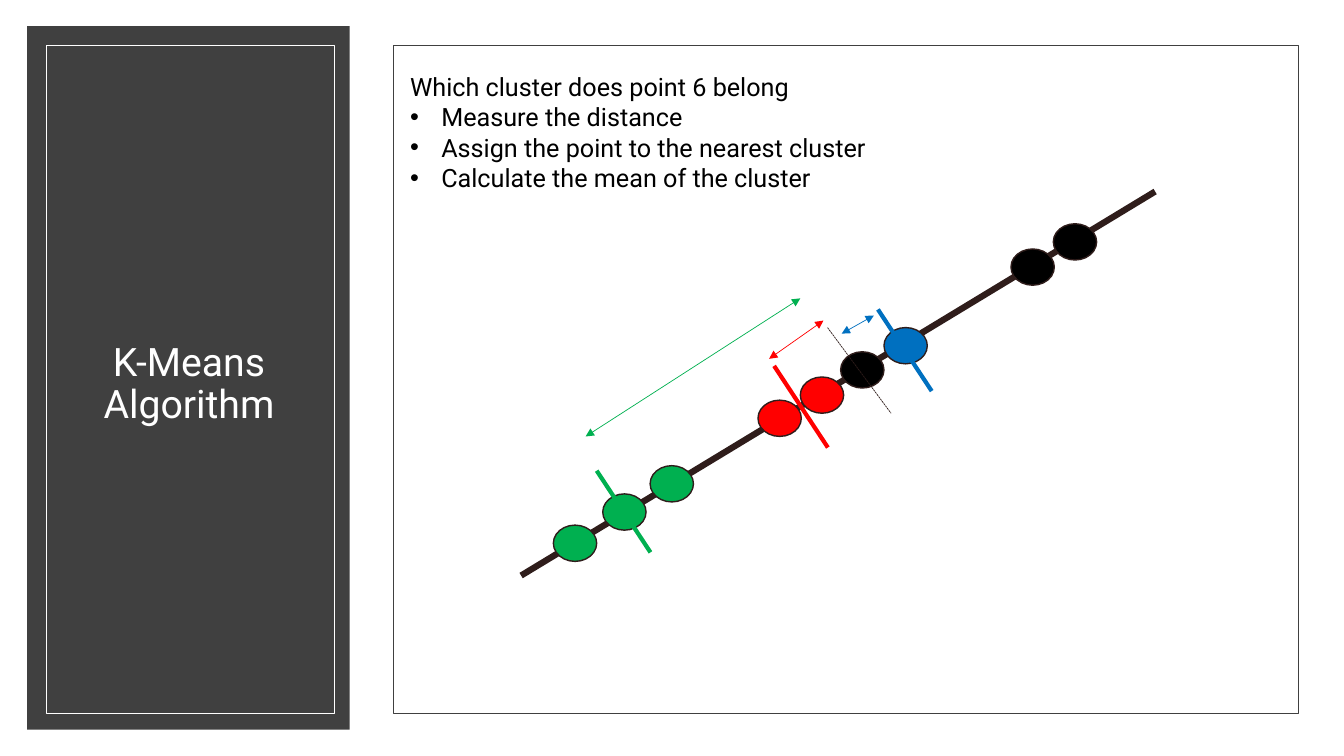
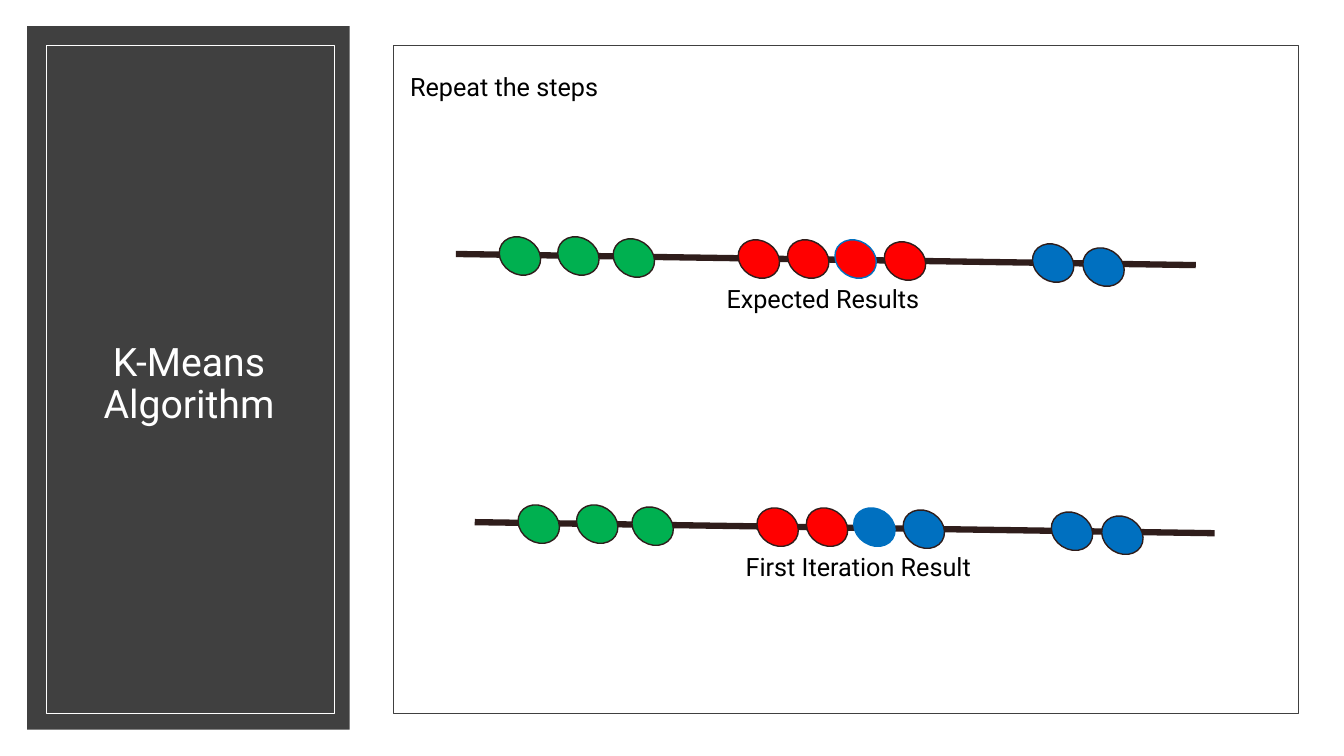
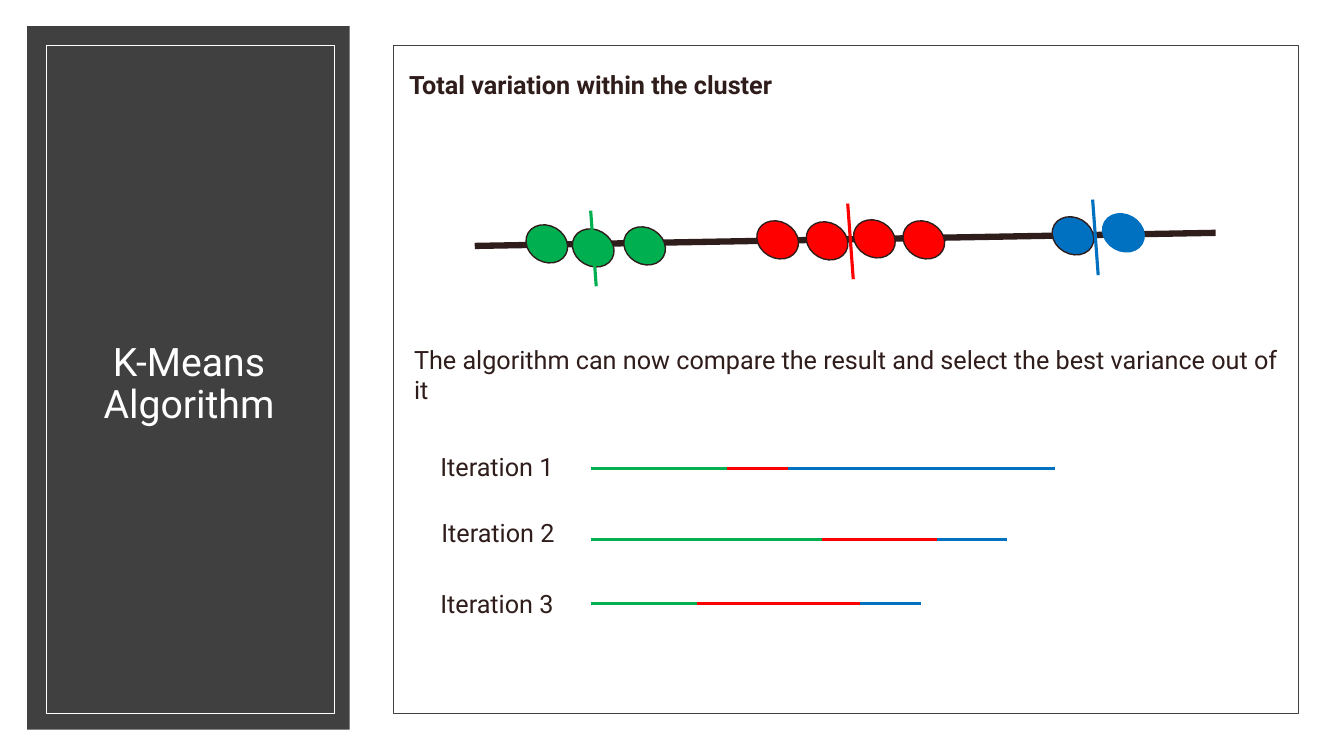
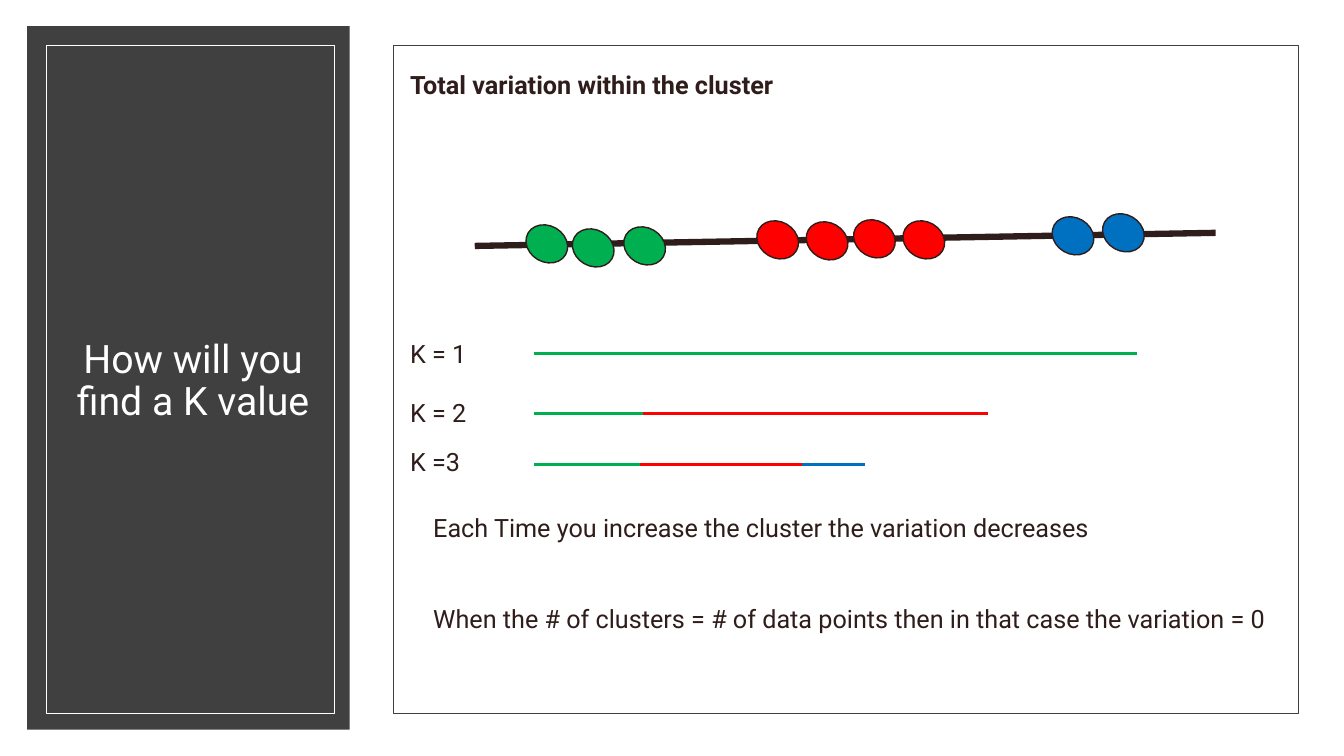
"""Builds four slides on the K-Means algorithm, laid out on a grid of 80 columns by 45 rows."""
from lxml.etree import SubElement as Sub
from pptx import Presentation
from pptx.dml.color import RGBColor as Rgb
from pptx.enum.dml import MSO_LINE as Dash
from pptx.enum.shapes import MSO_CONNECTOR as Link, MSO_SHAPE as Form
from pptx.enum.text import MSO_ANCHOR as Anchor, PP_ALIGN as Align
from pptx.oxml.ns import qn
from pptx.util import Emu, Inches, Pt

HUES = {"g": "00B050", "r": "FF0000", "b": "0070C0", "k": "000000",
        "ink": "2F1D1B", "band": "404040", "white": "FFFFFF"}
FONT = "Roboto"
BEAD = (2.58, 2.16)

deck = Presentation()
deck.slide_width, deck.slide_height = Inches(13.3333), Inches(7.5)
CELL = deck.slide_height / 45


def write(page, text, x, y, wide, high=2.4, size=18, hue="ink", bold=False, wrap=True,
          align=Align.LEFT, anchor=Anchor.TOP, lead=None, gap=0, bullet=False):
    box = page.shapes.add_textbox(*[Emu(round(n * CELL)) for n in (x, y, wide, high)])
    frame = box.text_frame
    frame.word_wrap, frame.vertical_anchor = wrap, anchor
    for at, words in enumerate(text.split("\n")):
        para = frame.paragraphs[0] if at == 0 else frame.add_paragraph()
        if bullet and at:
            props = para._p.get_or_add_pPr()
            props.set("marL", str(Inches(0.31)))
            props.set("indent", str(-Inches(0.31)))
            Sub(props, qn("a:buFont")).set("typeface", "Arial")
            Sub(props, qn("a:buChar")).set("char", "•")
        para.alignment = align
        if lead:
            para.line_spacing = lead
        if gap and at:
            para.space_before = Pt(gap)
        run = para.add_run()
        run.text = words
        run.font.name, run.font.size, run.font.bold = FONT, Pt(size), bold
        run.font.color.rgb = Rgb.from_string(HUES[hue])


def draw(page, form, at, fill=None, line=None, width=1, turn=0, dash=None, heads=False):
    spots = [Emu(round(n * CELL)) for n in at]
    if form is Link.STRAIGHT:
        item = page.shapes.add_connector(form, *spots)
    else:
        item = page.shapes.add_shape(form, *spots)
        item.shadow.inherit = False
        item.rotation = turn
        if fill:
            item.fill.solid()
            item.fill.fore_color.rgb = Rgb.from_string(HUES[fill])
        else:
            item.fill.background()
    if line:
        item.line.color.rgb = Rgb.from_string(HUES[line])
        item.line.width = Pt(width)
    else:
        item.line.fill.background()
    if dash:
        item.line.dash_style = dash
    if heads:
        for end in ("a:headEnd", "a:tailEnd"):
            Sub(item.line._get_or_add_ln(), qn(end)).set("type", "triangle")
    if form is Link.STRAIGHT:
        Sub(item._element.spPr, qn("a:effectLst"))


pages = []
for title, x, y in [("K-Means Algorithm", 3.66, 4.02)] * 3 + [("How will you find a K value", 3.9, 3.84)]:
    page = deck.slides.add_slide(deck.slide_layouts[6])
    page.background.fill.solid()
    page.background.fill.fore_color.rgb = Rgb.from_string(HUES["k"])
    draw(page, Form.RECTANGLE, (0, 0, 80, 45), fill="white")
    draw(page, Form.RECTANGLE, (1.62, 1.56, 19.2, 41.88), fill="band")
    draw(page, Form.RECTANGLE, (2.76, 2.7, 17.16, 39.78), line="white", width=0.5)
    draw(page, Form.RECTANGLE, (23.4, 2.7, 53.88, 39.78), line="band", width=0.5)
    write(page, title, x, y, 15.18, 37.8, size=28, hue="white",
          align=Align.CENTER, anchor=Anchor.MIDDLE, lead=0.9)
    pages.append(page)
first, second, third, fourth = pages

steep = [(3.21, -1.92), (6.15, -3.78), (8.97, -5.46), (15.39, -9.36), (17.91, -10.74),
         (20.31, -12.24), (22.89, -13.68), (30.45, -18.36), (32.97, -19.86), (37.74, -22.86)]
down = [(3.81, 0.12), (7.29, 0.12), (10.59, 0.24), (18.03, 0.3), (20.97, 0.3),
        (23.79, 0.3), (26.73, 0.42), (35.55, 0.54), (38.55, 0.78), (44.04, 0.66)]
up = [(4.29, -0.12), (7.05, 0.12), (10.11, 0), (18.03, -0.36), (20.97, -0.3),
      (23.79, -0.42), (26.73, -0.36), (35.61, -0.6), (38.61, -0.78), (44.1, -0.78)]
rails = [(first, 31.02, 34.26, steep, "gggrrkbkk", None, 0),
         (second, 28.26, 31.08, down, "gggrrbbbb", 5, 32.8),
         (second, 27.14, 15.12, down, "gggrrrrbb", 5, 32.8),
         (third, 28.26, 14.64, up, "gggrrrrbb", 8, 30.1),
         (fourth, 28.26, 14.64, up, "gggrrrrbb", None, 30.1)]
for page, x, y, (*spots, end), fills, odd, turn in rails:
    draw(page, Link.STRAIGHT, (x, y, x + end[0], y + end[1]), line="ink", width=4.5)
    for at, ((dx, dy), fill) in enumerate(zip(spots, fills)):
        draw(page, Form.OVAL, (x + dx - BEAD[0] / 2, y + dy - BEAD[1] / 2, *BEAD),
             fill=fill, line="b" if at == odd else "ink", turn=turn)

cuts = [(first, 3.2, 4.86, 3, [("g", 35.52, 28.02), ("r", 46.08, 21.78), ("b", 52.26, 18.42)]),
        (third, 0.33, 4.5, 2.25, [("g", 35.16, 12.54), ("r", 50.46, 12.12), ("b", 65.04, 11.88)])]
for page, dx, dy, width, marks in cuts:
    for hue, x, y in marks:
        draw(page, Link.STRAIGHT, (x, y, x + dx, y + dy), line=hue, width=width)

draw(first, Link.STRAIGHT, (49.26, 19.5, 53.04, 24.6), line="ink", width=0.5, dash=Dash.SQUARE_DOT)
for hue, ends in [("r", (49.02, 19.08, 45.78, 21.36)), ("g", (47.64, 17.76, 34.86, 25.98)),
                  ("b", (52.02, 18.78, 50.1, 19.86))]:
    draw(first, Link.STRAIGHT, ends, line=hue, width=0.5, heads=True)
write(first, "Which cluster does point 6 belong\nMeasure the distance\n"
      "Assign the point to the nearest cluster\nCalculate the mean of the cluster",
      23.82, 3.96, 29.16, 9.72, hue="k", wrap=False, bullet=True)

for words, x, y, wide in [("Repeat the steps", 23.82, 3.96, 12.66),
                          ("Expected Results", 42.66, 16.6, 12.96),
                          ("First Iteration Result", 43.8, 32.52, 14.76)]:
    write(second, words, x, y, wide, hue="k", wrap=False)

bars = [(third, "Iteration 1", 25.62, 26.58, 27.9, [35.16, 43.26, 46.92, 62.82]),
        (third, "Iteration 2", 25.68, 30.5, 32.1, [35.16, 48.9, 55.8, 59.94]),
        (third, "Iteration 3", 25.62, 34.74, 35.94, [35.16, 41.46, 51.18, 54.84]),
        (fourth, "K = 1", 23.82, 19.84, 21.06, [31.8, 67.68]),
        (fourth, "K = 2", 23.82, 23.36, 24.6, [31.8, 38.28, 58.8]),
        (fourth, "K =3", 23.82, 26.26, 27.66, [31.8, 38.1, 47.76, 51.48])]
for page, words, x, top, y, stops in bars:
    write(page, words, x, top, 10.4 if page is third else 6.06)
    for hue, left, right in zip("grb", stops, stops[1:]):
        draw(page, Link.STRAIGHT, (left, y, right, y), line=hue, width=2.25)

for page, x in [(third, 23.76), (fourth, 23.82)]:
    write(page, "Total variation within the cluster", x, 3.84, 40, bold=True)
write(third, "The algorithm can now compare the result and select the best variance out of it",
      24.06, 20.18, 53.16, 4.26)
write(fourth, "Each Time you increase the cluster the variation decreases\n"
      "When the # of clusters = # of data points then in that case the variation = 0",
      25.2, 30.18, 52.62, 7.86, gap=44)

deck.save("out.pptx")
